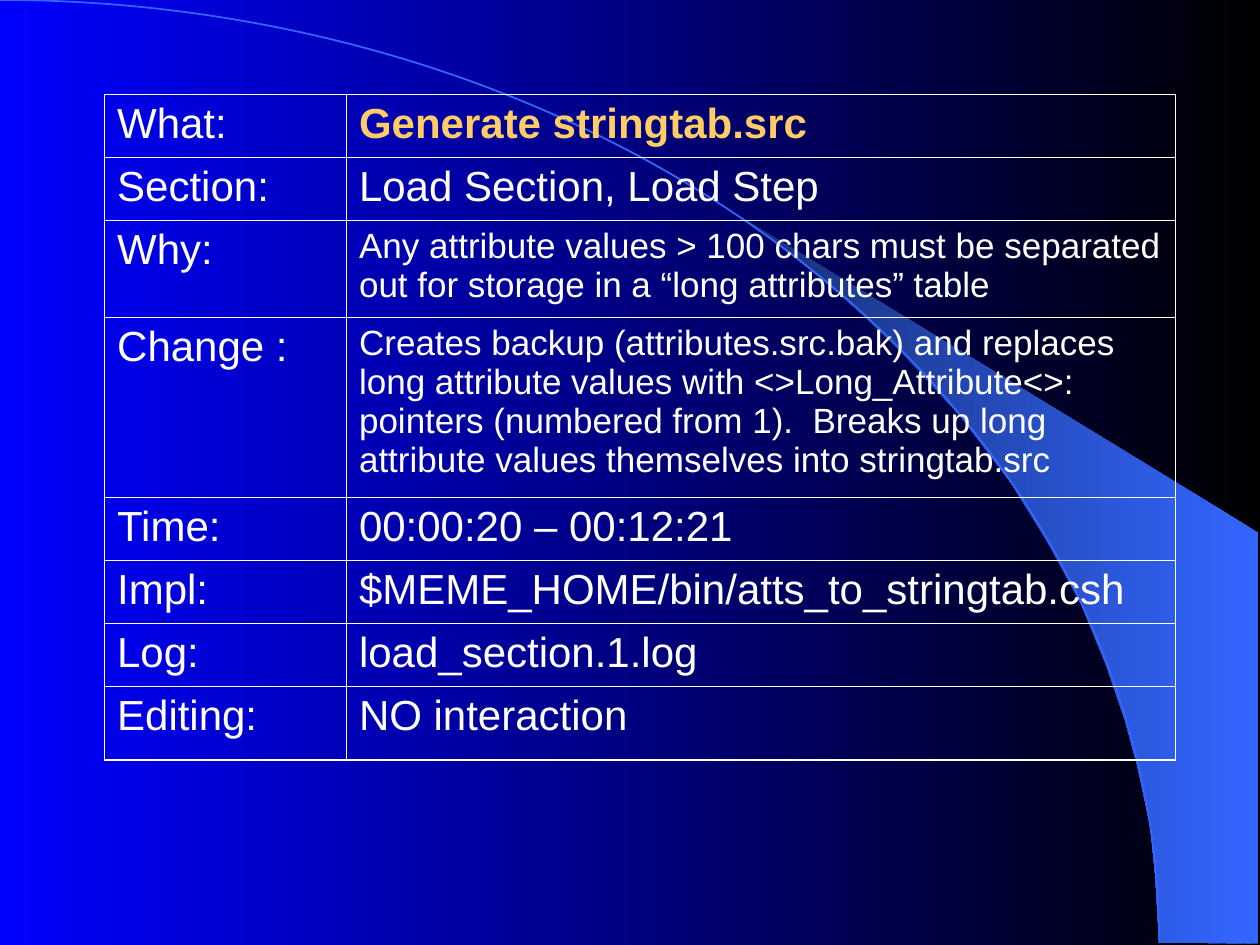
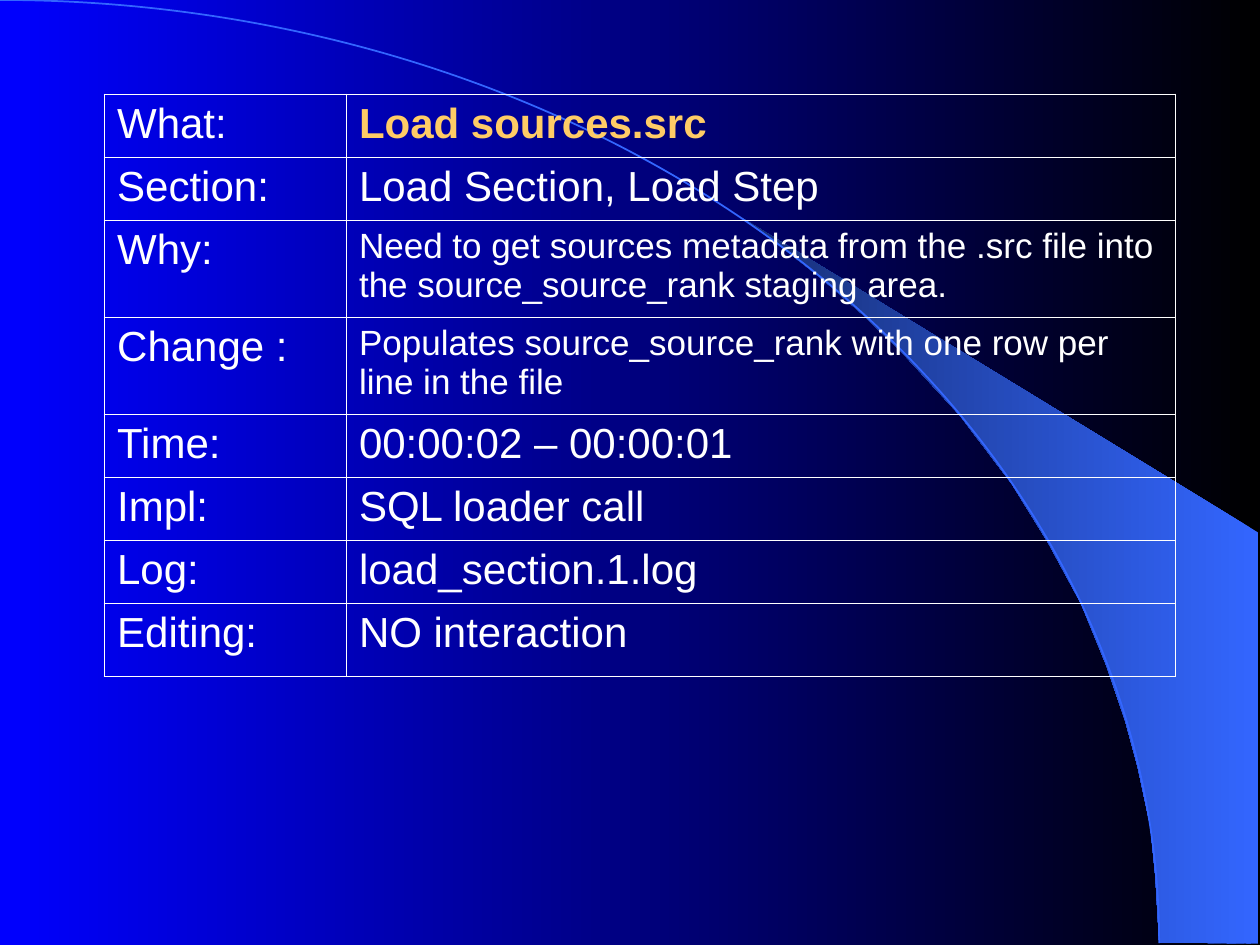
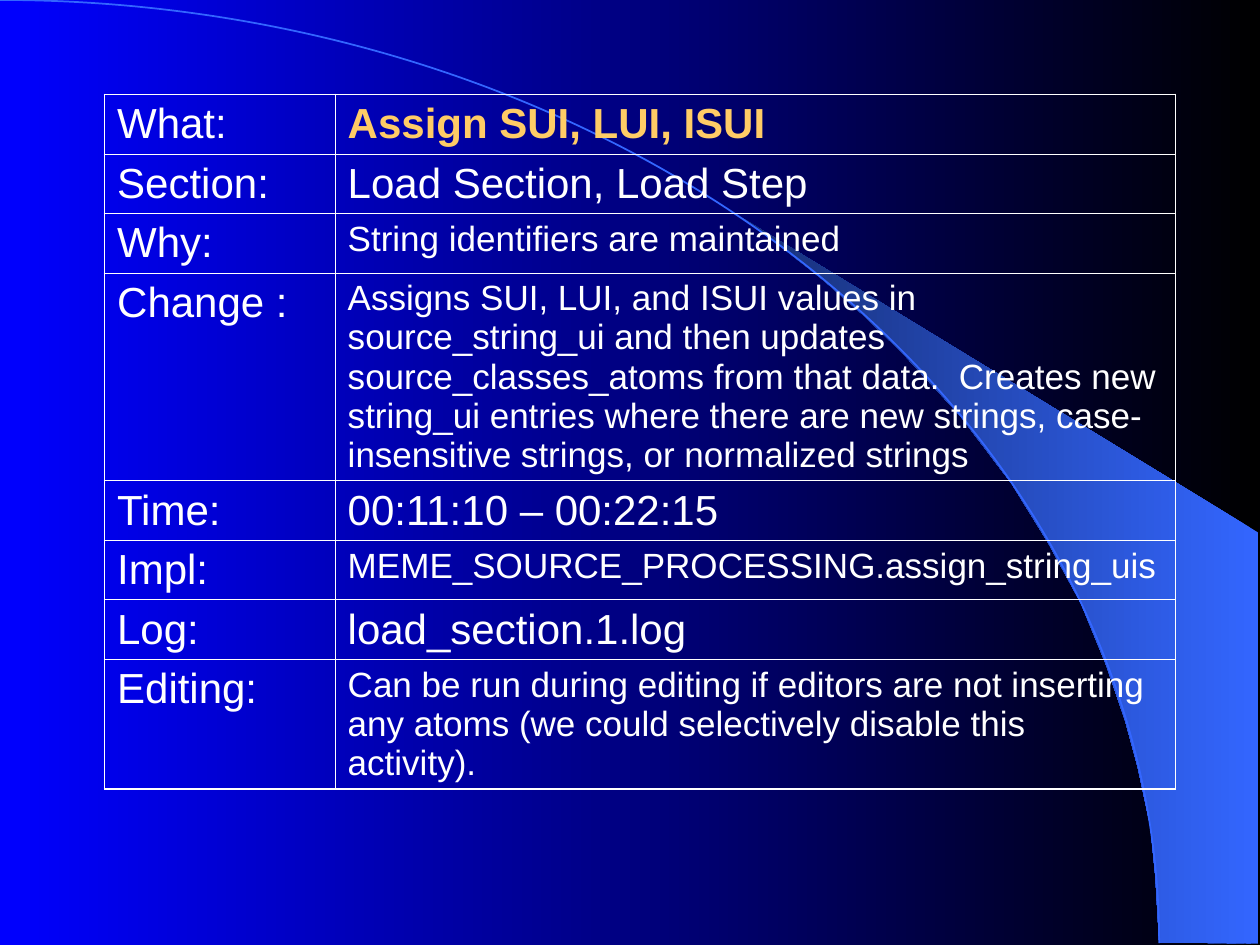
"""Build three process-step slides, each a two-column table over a blue arc backdrop."""
from lxml.etree import SubElement
from pptx import Presentation
from pptx.dml.color import RGBColor as RGB
from pptx.enum.shapes import MSO_SHAPE as SHAPE
from pptx.oxml.ns import qn
from pptx.util import Inches, Pt

COLORS = {"black": "000000", "blue": "0000FF", "sky": "3366FF", "navy": "172F75",
          "white": "FFFFFF", "gold": "FFCC66"}
FONT = "Arial"
LABELS = ["What:", "Section:", "Why:", "Change :", "Time:", "Impl:", "Log:", "Editing:"]
OUTER, INNER = 1.08, 0.45
SWOOSH = [(9.2, 7.48), (9.99, 7.49), (9.99, 4.23), (5.89, 1.73), (6.24, 1.99), (6.53, 2.22),
          (6.85, 2.5), (7.16, 2.8), (7.62, 3.3), (8.03, 3.84), (8.32, 4.31), (8.58, 4.79),
          (8.78, 5.28), (8.93, 5.72), (9.03, 6.09), (9.13, 6.56), (9.17, 6.96)]
STEPS = [
    {"label_width": 1.92,
     "heights": [0.5, 0.5, 0.77, 1.43, 0.5, 0.5, 0.5, 0.58],
     "small": {"Why:", "Change :"},
     "values": [
         "Generate stringtab.src",
         "Load Section, Load Step",
         "Any attribute values > 100 chars must be separated out for storage in a "
         "“long attributes” table",
         "Creates backup (attributes.src.bak) and replaces long attribute values with "
         "<>Long_Attribute<>: pointers (numbered from 1).  Breaks up long attribute values "
         "themselves into stringtab.src",
         "00:00:20 – 00:12:21",
         "$MEME_HOME/bin/atts_to_stringtab.csh",
         "load_section.1.log",
         "NO interaction"]},
    {"label_width": 1.92,
     "heights": [0.5, 0.5, 0.77, 0.77, 0.5, 0.5, 0.5, 0.58],
     "small": {"Why:", "Change :"},
     "values": [
         "Load sources.src",
         "Load Section, Load Step",
         "Need to get sources metadata from the .src file into the source_source_rank "
         "staging area.",
         "Populates source_source_rank with one row per line in the file",
         "00:00:02 – 00:00:01",
         "SQL loader call",
         "load_section.1.log",
         "NO interaction"]},
    {"label_width": 1.83,
     "heights": [0.47, 0.47, 0.47, 1.65, 0.47, 0.47, 0.47, 1.03],
     "small": {"Why:", "Change :", "Impl:", "Editing:"},
     "values": [
         "Assign SUI, LUI, ISUI",
         "Load Section, Load Step",
         "String identifiers are maintained",
         "Assigns SUI, LUI, and ISUI values in source_string_ui and then updates "
         "source_classes_atoms from that data.  Creates new string_ui entries where there "
         "are new strings, case-insensitive strings, or normalized strings",
         "00:11:10 – 00:22:15",
         "MEME_SOURCE_PROCESSING.assign_string_uis",
         "load_section.1.log",
         "Can be run during editing if editors are not inserting any atoms (we could "
         "selectively disable this activity)."]},
]


def set_gradient(fill, right, left):
    fill.gradient()
    fill.gradient_angle = 180
    for stop, name, position in zip(fill.gradient_stops, (right, left), (0, 1)):
        stop.color.rgb = RGB.from_string(COLORS[name])
        stop.position = position


def set_borders(cell, widths):
    tc_pr = cell._tc.get_or_add_tcPr()
    for i, (side, width) in enumerate(widths.items()):
        ln = SubElement(tc_pr, qn(f"a:ln{side}"), w=str(int(Pt(width))))
        SubElement(SubElement(ln, qn("a:solidFill")), qn("a:srgbClr"), val=COLORS["white"])
        tc_pr.insert(i, ln)


prs = Presentation()
prs.slide_width, prs.slide_height = Inches(10), Inches(7.5)
set_gradient(prs.slide_master.background.fill, "black", "blue")

for step in STEPS:
    s = prs.slides.add_slide(prs.slide_layouts[6])

    points = [(Inches(x), Inches(y)) for x, y in SWOOSH]
    builder = s.shapes.build_freeform(*points[0])
    builder.add_line_segments(points[1:], close=True)
    swoosh = builder.convert_to_shape()
    swoosh.shadow.inherit = False
    set_gradient(swoosh.fill, "sky", "navy")
    swoosh.line.fill.background()

    arc = s.shapes.add_shape(SHAPE.ARC, Inches(-9.2), Inches(0), Inches(18.4), Inches(14.97))
    arc.shadow.inherit = False
    arc.fill.background()
    arc.line.color.rgb = RGB.from_string(COLORS["sky"])
    arc.line.width = Pt(1)

    table = s.shapes.add_table(len(LABELS), 2, Inches(0.83), Inches(0.75), Inches(8.5),
                               Inches(sum(step["heights"]))).table
    table.first_row = table.horz_banding = False
    table.columns[0].width = Inches(step["label_width"])
    table.columns[1].width = Inches(8.5 - step["label_width"])

    for row, (label, value) in enumerate(zip(LABELS, step["values"])):
        table.rows[row].height = Inches(step["heights"][row])
        for col, text in enumerate((label, value)):
            cell = table.cell(row, col)
            cell.fill.background()
            set_borders(cell, {"L": OUTER if col == 0 else INNER,
                               "R": OUTER if col == 1 else INNER,
                               "T": OUTER if row == 0 else INNER,
                               "B": OUTER if row == len(LABELS) - 1 else INNER})
            is_title = row == 0 and col == 1
            p = cell.text_frame.paragraphs[0]
            p.text = text
            p.font.name = FONT
            p.font.size = Pt(20 if col == 1 and label in step["small"] else 24)
            p.font.bold = is_title
            p.font.color.rgb = RGB.from_string(COLORS["gold" if is_title else "white"])

prs.save("out.pptx")
